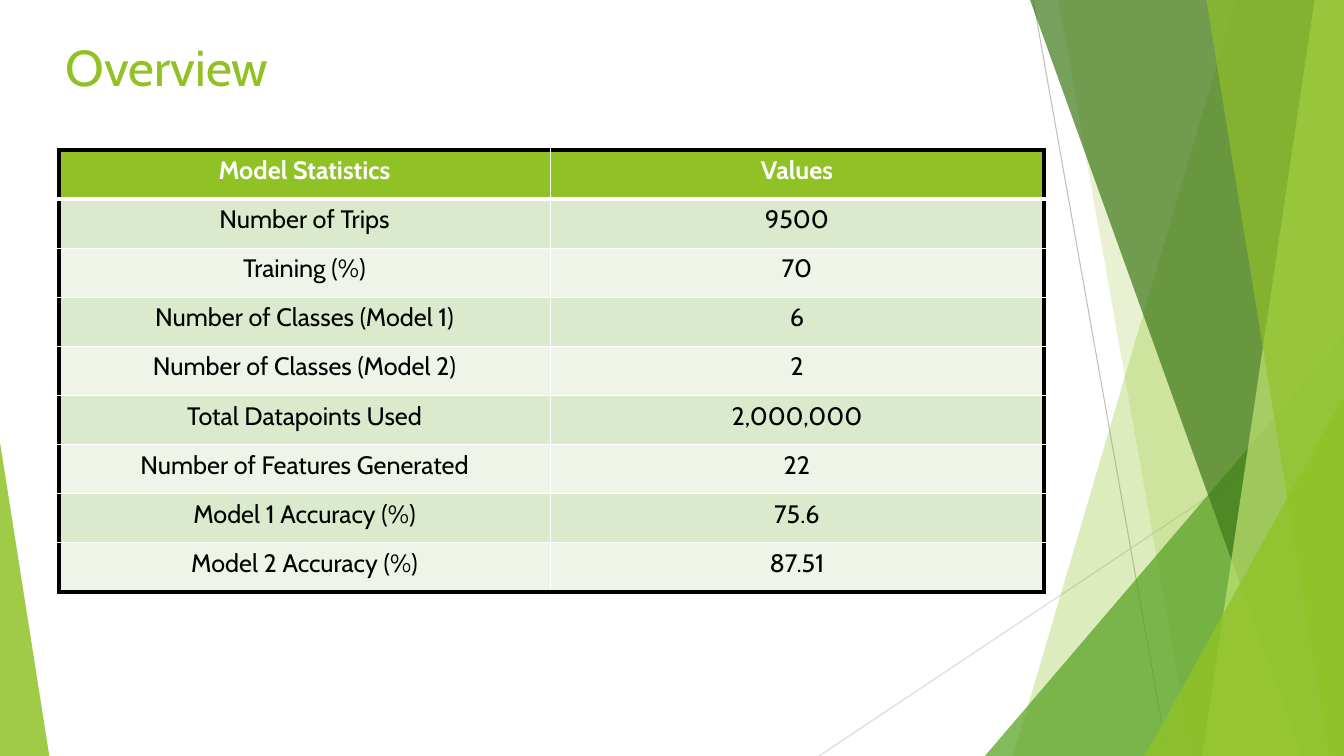
"""Builds the model overview slide: a statistics table framed by green facets."""
from dataclasses import dataclass

from lxml import etree
from pptx import Presentation
from pptx import util as u
from pptx.dml.color import RGBColor
from pptx.enum import shapes, text
from pptx.oxml import ns

PX = 9525
W, H = 1280, 720


@dataclass(frozen=True)
class Theme:
    font: str = "Cabin"
    title_size: int = 36
    table_size: int = 18
    green: str = "90C226"
    leaf: str = "54A021"
    forest: str = "3F7819"
    lime: str = "C0E474"
    band_dark: str = "DBE9CD"
    band_light: str = "EEF4E8"
    white: str = "FFFFFF"
    black: str = "000000"
    pale_line: str = "D9D9D9"
    grey_line: str = "BFBFBF"
    hairline: float = 0.75
    grid_line: int = 1
    frame_line: int = 3


class Deck:
    def __init__(self, theme):
        self.theme = theme
        self.prs = Presentation()
        self.prs.slide_width, self.prs.slide_height = W * PX, H * PX
        self.s = self.prs.slides.add_slide(self.prs.slide_layouts[6])

    def line(self, start, end, color):
        x1, y1, x2, y2 = (v * PX for v in start + end)
        sp = self.s.shapes.add_connector(shapes.MSO_CONNECTOR.STRAIGHT, x1, y1, x2, y2)
        sp.line.color.rgb = RGBColor.from_string(color)
        sp.line.width = u.Pt(self.theme.hairline)
        etree.SubElement(sp.element.spPr, ns.qn("a:effectLst"))

    def facet(self, points, color, opacity):
        fb = self.s.shapes.build_freeform(*points[0], scale=PX)
        fb.add_line_segments(points[1:], close=True)
        sp = fb.convert_to_shape()
        sp.shadow.inherit = False
        sp.line.fill.background()
        sp.fill.solid()
        sp.fill.fore_color.rgb = RGBColor.from_string(color)
        clr = sp.element.spPr.find(".//" + ns.qn("a:srgbClr"))
        etree.SubElement(clr, ns.qn("a:alpha"), val=str(opacity * 1000))

    def run(self, p, words, size, color, bold=False):
        r = p.add_run()
        r.text = words
        r.font.name = self.theme.font
        r.font.size = u.Pt(size)
        r.font.bold = bold
        r.font.color.rgb = RGBColor.from_string(color)

    def title(self, words, x, y, w, h):
        tf = self.s.shapes.add_textbox(x * PX, y * PX, w * PX, h * PX).text_frame
        tf.word_wrap = True
        self.run(tf.paragraphs[0], words, self.theme.title_size, self.theme.green)

    def borders(self, cell, **sides):
        tcPr = cell._tc.get_or_add_tcPr()
        for i, side in enumerate("LRTB"):
            color, width = sides[side]
            ln = etree.Element(ns.qn("a:ln" + side), w=str(u.Pt(width)))
            fill = etree.SubElement(ln, ns.qn("a:solidFill"))
            etree.SubElement(fill, ns.qn("a:srgbClr"), val=color)
            tcPr.insert(i, ln)

    def table(self, rows, x, y, widths, h):
        t = self.theme
        grid, gap = (t.white, t.grid_line), (t.white, t.frame_line)
        frame = (t.black, t.frame_line)
        last_row, last_col = len(rows) - 1, len(widths) - 1
        tbl = self.s.shapes.add_table(
            len(rows), len(widths), x * PX, y * PX, sum(widths) * PX, h * PX).table
        for col, w in zip(tbl.columns, widths):
            col.width = w * PX
        for i, row in enumerate(rows):
            header = i == 0
            band = t.green if header else t.band_dark if i % 2 else t.band_light
            for j, words in enumerate(row):
                cell = tbl.cell(i, j)
                cell.fill.solid()
                cell.fill.fore_color.rgb = RGBColor.from_string(band)
                p = cell.text_frame.paragraphs[0]
                p.alignment = text.PP_ALIGN.CENTER
                self.run(p, words, t.table_size, t.white if header else t.black, header)
                self.borders(
                    cell,
                    L=frame if j == 0 else grid,
                    R=frame if j == last_col else grid,
                    T=frame if header else gap if i == 1 else grid,
                    B=gap if header else frame if i == last_row else grid)


STATISTICS = [
    ("Model Statistics", "Values"),
    ("Number of Trips", "9500"),
    ("Training (%)", "70"),
    ("Number of Classes (Model 1)", "6"),
    ("Number of Classes (Model 2)", "2"),
    ("Total Datapoints Used", "2,000,000"),
    ("Number of Features Generated", "22"),
    ("Model 1 Accuracy (%)", "75.6"),
    ("Model 2 Accuracy (%)", "87.51"),
]


def main():
    t = Theme()
    deck = Deck(t)
    deck.line((780, H), (W, 387), t.pale_line)
    deck.line((984, 0), (1112, H), t.grey_line)

    right_edge = [(W, H), (W, 0)]
    corner = [(W, H)]
    facets = [
        ([(1177, 0), (965, H)] + right_edge, t.green, 30),
        ([(1008, 0), (1135, H)] + right_edge, t.green, 20),
        ([(938, H), (W, 320)] + corner, t.leaf, 72),
        ([(981, 0), (1240, H)] + right_edge, t.forest, 70),
        ([(1252, 0), (1145, H)] + right_edge, t.lime, 70),
        ([(1149, 0), (1266, H)] + right_edge, t.green, 65),
        ([(1090, H), (W, 377)] + corner, t.green, 80),
        ([(0, 421), (47, H), (0, H)], t.green, 85),
    ]
    for points, color, opacity in facets:
        deck.facet(points, color, opacity)

    deck.title("Overview", 53, 30, 902, 138)
    deck.table(STATISTICS, 56, 143, (468, 470), 421)
    deck.prs.save("out.pptx")


if __name__ == "__main__":
    main()
